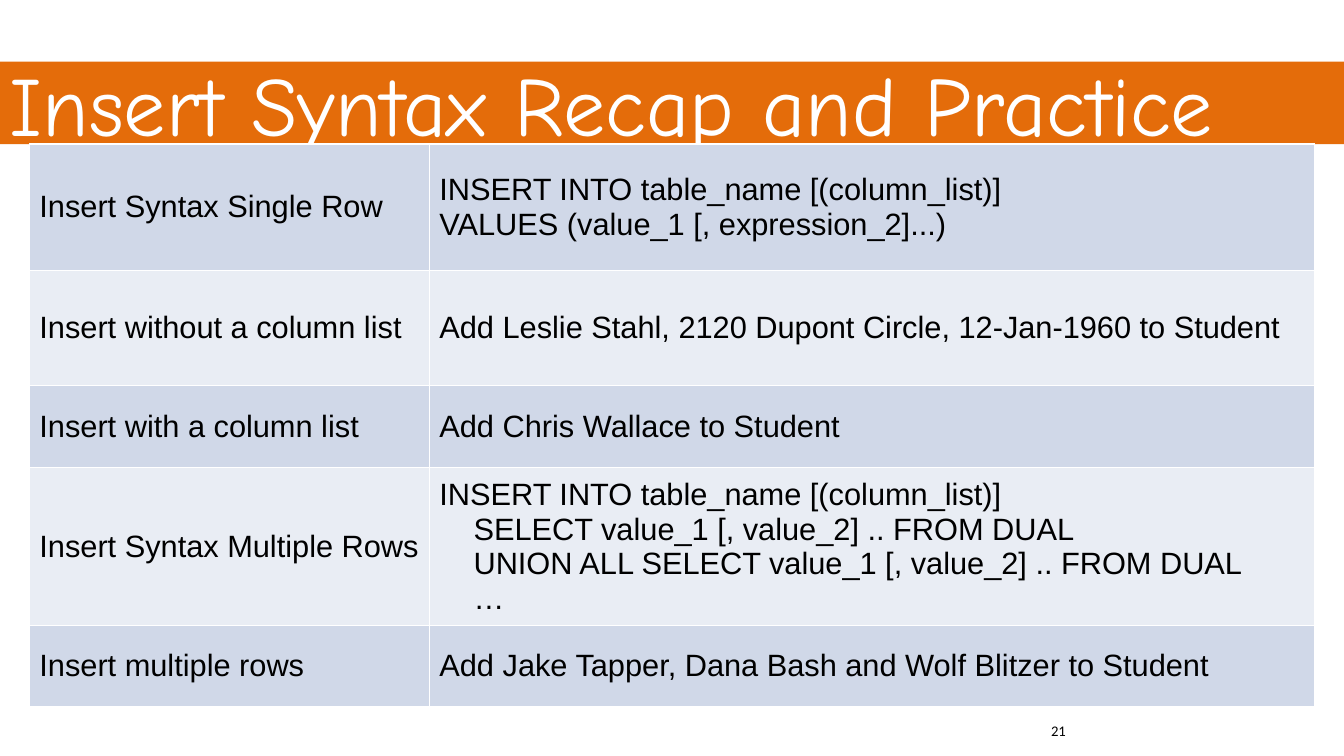
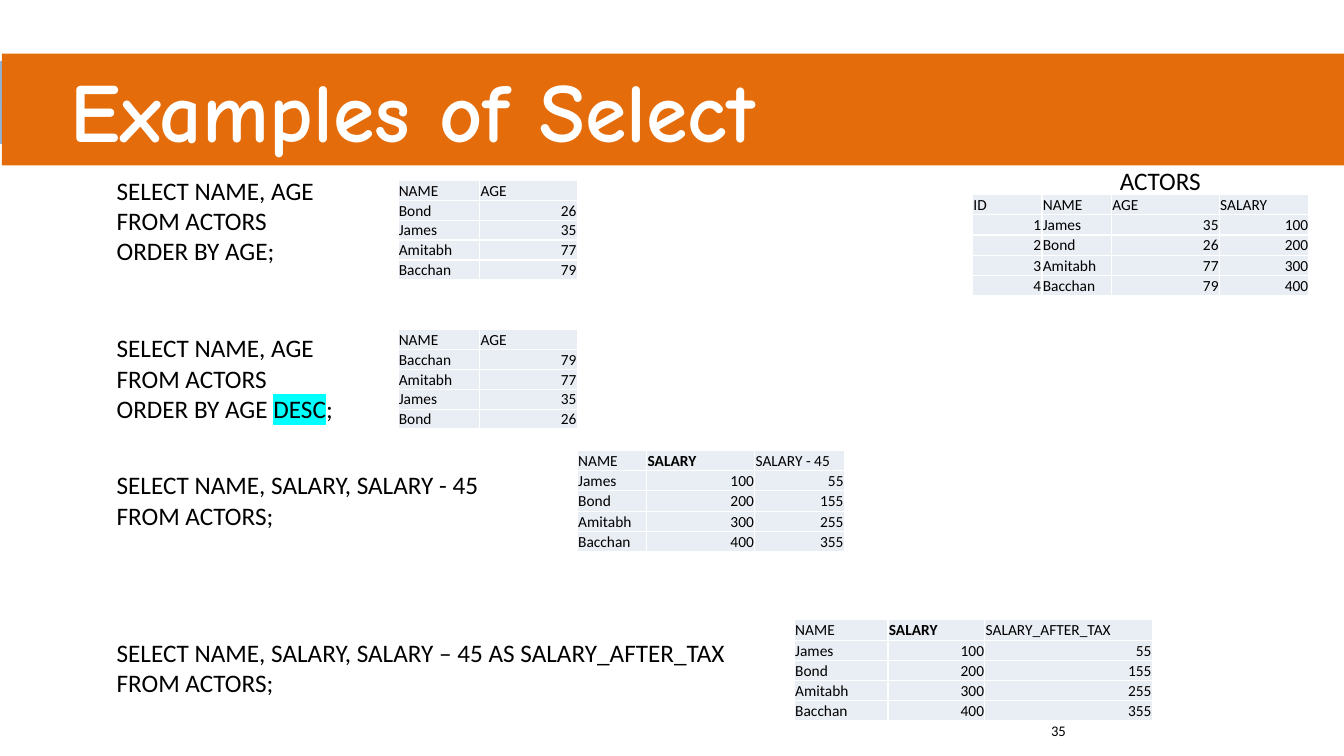
from lxml import etree
from pptx import Presentation
from pptx.dml.color import RGBColor
from pptx.enum.shapes import MSO_SHAPE
from pptx.enum.text import MSO_ANCHOR, MSO_AUTO_SIZE, PP_ALIGN
from pptx.oxml import parse_xml
from pptx.oxml.ns import qn
from pptx.util import Cm, Pt

ORANGE, WHITE, BLACK = "E46C0A", "FFFFFF", "000000"
BLUE, PALE_BLUE, CYAN = "D0D8E8", "E9EDF4", "00FFFF"
WIDTH, HEIGHT = 33.87, 19.05
BAND = (0, 1.55, WIDTH, 2.08)
CODE_LEFT = 2.69
ACTORS = [("James", 35, 100), ("Bond", 26, 200),
          ("Amitabh", 77, 300), ("Bacchan", 79, 400)]
SYNTAX_ROWS = [
    (3.18, "Insert Syntax Single Row",
     ["INSERT INTO table_name [(column_list)]",
      "VALUES (value_1 [, expression_2]...)"]),
    (2.9, "Insert without a column list",
     ["Add Leslie Stahl, 2120 Dupont Circle, 12-Jan-1960 to Student"]),
    (2.08, "Insert with a column list", ["Add Chris Wallace to Student"]),
    (3.73, "Insert Syntax Multiple Rows",
     ["INSERT INTO table_name [(column_list)]",
      "    SELECT value_1 [, value_2] .. FROM DUAL",
      "    UNION ALL SELECT value_1 [, value_2] .. FROM DUAL",
      "    …"]),
    (2.03, "Insert multiple rows",
     ["Add Jake Tapper, Dana Bash and Wolf Blitzer to Student"]),
]


def rgb(color):
    """Turn a hex string into a colour."""
    return RGBColor.from_string(color)


def paint(target, color):
    """Give a shape or cell a solid fill."""
    target.fill.solid()
    target.fill.fore_color.rgb = rgb(color)


def style(p, size, name="Calibri", color=BLACK, bold=False):
    """Set the font of a paragraph."""
    p.font.size, p.font.name, p.font.bold = Pt(size), name, bold
    p.font.color.rgb = rgb(color)


def write(tf, lines, size, name="Calibri"):
    """Fill a text frame with one paragraph per line."""
    for i, line in enumerate(lines):
        p = tf.add_paragraph() if i else tf.paragraphs[0]
        p.add_run().text = line
        style(p, size, name)


def add_title(s, text, box, bold=False, indent=0.25, anchor=MSO_ANCHOR.MIDDLE):
    """Make the title placeholder an orange band."""
    title = s.shapes.title
    title.left, title.top, title.width, title.height = map(Cm, box)
    paint(title, ORANGE)
    tf = title.text_frame
    tf.text = text
    tf.auto_size, tf.word_wrap = MSO_AUTO_SIZE.NONE, True
    tf.vertical_anchor, tf.margin_left = anchor, Cm(indent)
    p = tf.paragraphs[0]
    p.alignment = PP_ALIGN.LEFT
    style(p, 60, "Comic Neue", WHITE, bold)


def add_gradient_band(s):
    """Put a blue radial band behind the title."""
    sp = s.shapes.add_shape(MSO_SHAPE.RECTANGLE, *map(Cm, BAND))
    sp.shadow.inherit = False
    sp.line.fill.background()
    stops = "".join(f'<a:gs pos="{pos}"><a:srgbClr val="{color}"/></a:gs>'
                    for pos, color in ((0, "566A83"), (50000, "7A97BA"), (100000, "90B3DC")))
    gradient = parse_xml(
        '<a:gradFill xmlns:a="http://schemas.openxmlformats.org/drawingml/2006/main">'
        f'<a:gsLst>{stops}</a:gsLst><a:path path="circle">'
        '<a:fillToRect l="100000" t="100000"/></a:path></a:gradFill>')
    sp._element.spPr.find(qn("a:prstGeom")).addnext(gradient)
    s.shapes.title._element.addprevious(sp._element)


def add_text(s, left, top, width, lines, size=18):
    """Add a wrapping text box."""
    sp = s.shapes.add_textbox(Cm(left), Cm(top), Cm(width), Cm(1.02))
    tf = sp.text_frame
    tf.word_wrap = True
    write(tf, lines, size)
    return tf


def add_page_number(s, number):
    """Add the page number at the bottom right."""
    add_text(s, 26.24, 18.06, 7.62, [str(number)], 10.5)


def highlight_run(p, text, color):
    """Append a highlighted run to a paragraph."""
    r = p.add_run()
    r.text = text
    mark = etree.SubElement(r._r.get_or_add_rPr(), qn("a:highlight"))
    etree.SubElement(mark, qn("a:srgbClr"), val=color)


def add_grid(s, left, top, widths, heights):
    """Add an unbanded table with the given columns and rows."""
    frame = s.shapes.add_table(len(heights), len(widths), Cm(left), Cm(top),
                               Cm(sum(widths)), Cm(sum(heights)))
    table = frame.table
    table.first_row = table.horz_banding = False
    for column, width in zip(table.columns, widths):
        column.width = Cm(width)
    for row, height in zip(table.rows, heights):
        row.height = Cm(height)
    return table


def add_syntax_table(s):
    """Add the table of insert statements."""
    table = add_grid(s, 0.74, 3.63, (10.08, 22.3), [row[0] for row in SYNTAX_ROWS])
    for i, (_, label, lines) in enumerate(SYNTAX_ROWS):
        for j, content in enumerate(([label], lines)):
            cell = table.cell(i, j)
            paint(cell, PALE_BLUE if i % 2 else BLUE)
            cell.vertical_anchor = MSO_ANCHOR.MIDDLE
            write(cell.text_frame, content, 22, "Arial")


def add_result(s, left, top, widths, header, rows, row_height=0.51, bold=None):
    """Add a compact result table with numbers on the right."""
    table = add_grid(s, left, top, widths, [row_height] * (len(rows) + 1))
    for i, row in enumerate([header, *rows]):
        for j, value in enumerate(row):
            cell = table.cell(i, j)
            paint(cell, PALE_BLUE)
            cell.vertical_anchor = MSO_ANCHOR.BOTTOM
            cell.margin_left = cell.margin_right = cell.margin_top = Cm(0.02)
            cell.margin_bottom = 0
            p = cell.text_frame.paragraphs[0]
            p.add_run().text = str(value)
            if isinstance(value, int):
                p.alignment = PP_ALIGN.RIGHT
            style(p, 11, bold=value == bold)


def build_insert(s):
    """Build the insert syntax slide."""
    add_title(s, "Insert Syntax Recap and Practice", BAND)
    add_page_number(s, 21)
    add_syntax_table(s)


def build_select(s):
    """Build the select examples slide."""
    add_title(s, "Examples of Select", (0.05, 1.35, WIDTH - 0.05, 2.82), True, 1.73,
              MSO_ANCHOR.TOP)
    add_gradient_band(s)
    add_page_number(s, 35)

    add_text(s, 27.97, 4.04, 3, ["ACTORS"])
    add_result(s, 24.51, 4.9, (1.75, 1.75, 2.72, 2.26), ("ID", "NAME", "AGE", "SALARY"),
               [(i, *actor) for i, actor in enumerate(ACTORS, 1)])

    by_age = sorted([actor[:2] for actor in ACTORS], key=lambda row: row[1])
    query = ["SELECT NAME, AGE", "FROM ACTORS"]
    add_text(s, CODE_LEFT, 4.29, 6.07, query + ["ORDER BY AGE;"])
    tf = add_text(s, CODE_LEFT, 8.26, 6.07, query + ["ORDER BY AGE "])
    p = tf.paragraphs[-1]
    highlight_run(p, "DESC", CYAN)
    p.add_run().text = ";"
    for top, rows in ((4.55, by_age), (8.31, by_age[::-1])):
        add_result(s, 10.03, top, (2.06, 2.46), ("NAME", "AGE"), rows, 0.5)

    after_tax = [(name, salary, salary - 45) for name, _, salary in ACTORS]
    for text_top, width, expression, left, top, widths, heading in (
            (11.71, 11.53, "SALARY - 45", 14.55, 11.35, (1.75, 2.72, 2.26), "SALARY - 45"),
            (15.93, 16.89, "SALARY – 45 AS SALARY_AFTER_TAX", 20.02, 15.62,
             (2.36, 2.44, 4.22), "SALARY_AFTER_TAX")):
        add_text(s, CODE_LEFT, text_top, width,
                 [f"SELECT NAME, SALARY, {expression}", "FROM ACTORS;"])
        add_result(s, left, top, widths, ("NAME", "SALARY", heading), after_tax, bold="SALARY")


def main():
    """Build and save the presentation."""
    prs = Presentation()
    prs.slide_width, prs.slide_height = Cm(WIDTH), Cm(HEIGHT)
    for build in (build_insert, build_select):
        build(prs.slides.add_slide(prs.slide_layouts[5]))
    prs.save("out.pptx")


if __name__ == "__main__":
    main()
